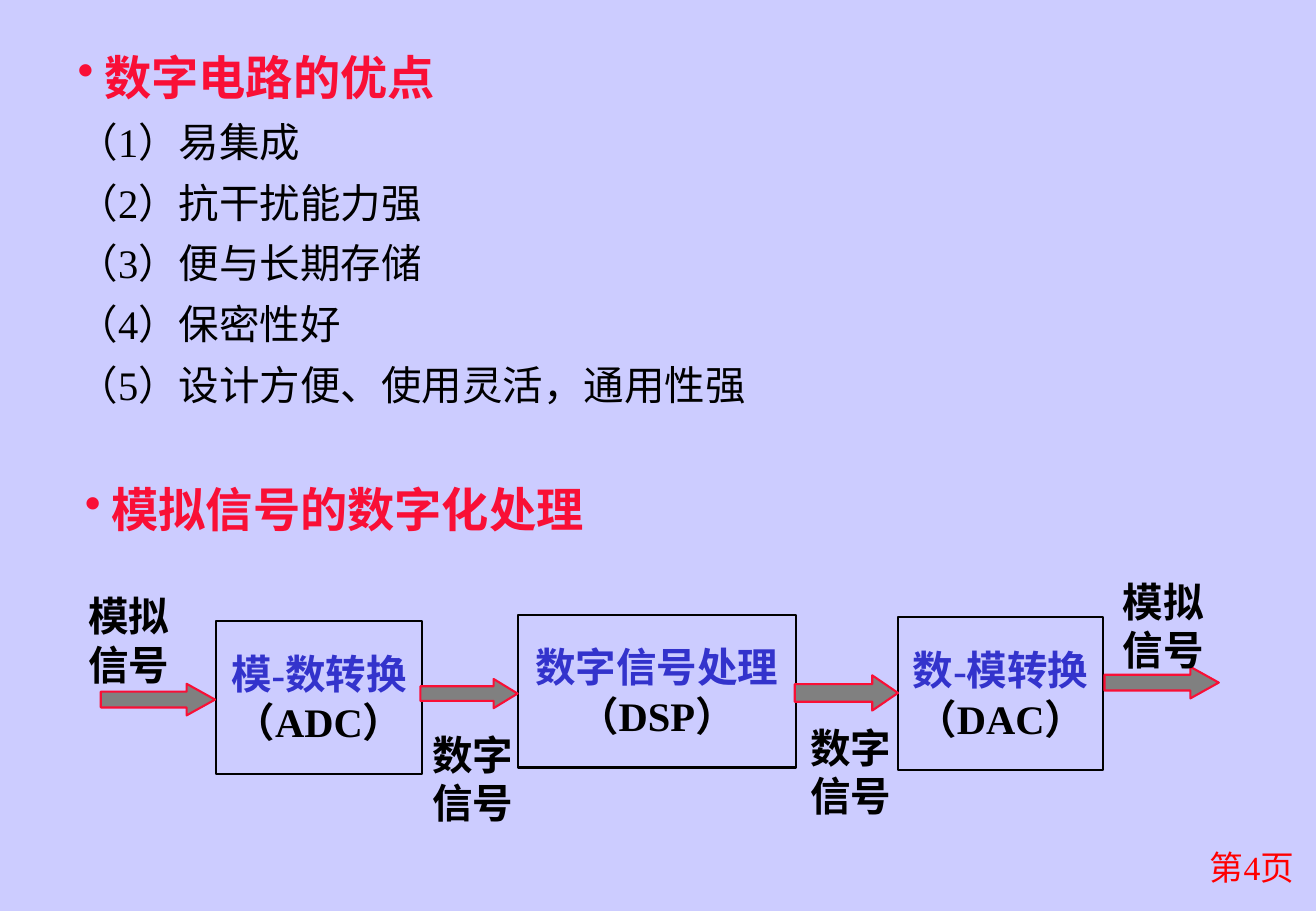
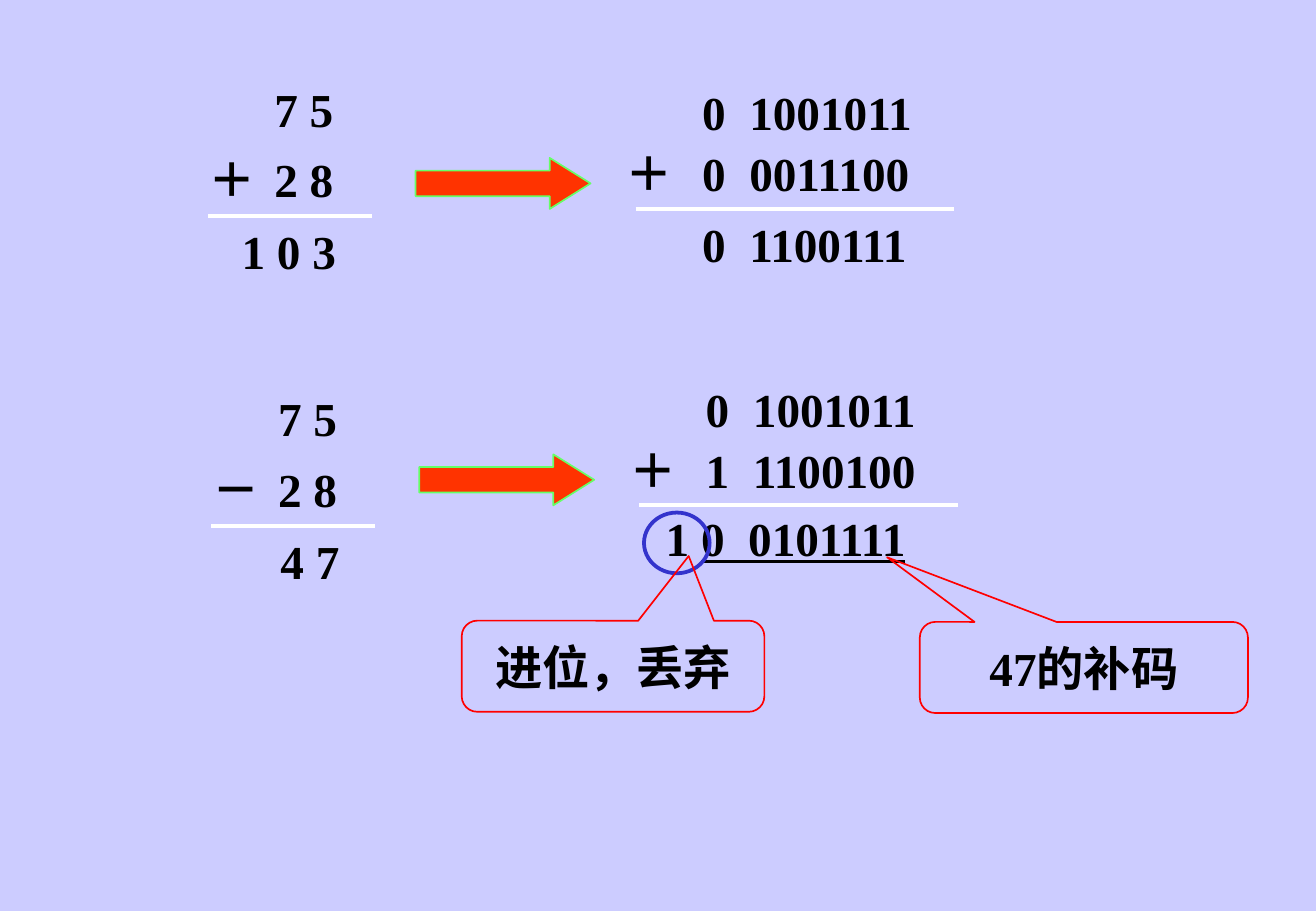
from lxml.etree import SubElement
from pptx import Presentation
from pptx.dml.color import RGBColor
from pptx.enum.shapes import MSO_CONNECTOR, MSO_SHAPE
from pptx.enum.text import MSO_ANCHOR, PP_ALIGN
from pptx.oxml.ns import qn
from pptx.util import Inches, Pt

COLORS = {
    "background": "CCCCFF", "text": "000000", "heading": "F90F36", "blue": "3333CC",
    "red": "FF0000", "gray": "808080", "orange": "FF3300", "green": "66FF66",
    "white": "FFFFFF",
}
FONT = "Times New Roman"
HEADING = {"size": 28, "bold": True, "color": "heading"}
BODY = {"size": 24, "bold": False, "color": "text"}
LABEL = {"size": 24, "bold": True, "color": "text"}
BLOCK_NAME = {"size": 24, "bold": True, "color": "blue"}
FOOTER = {"size": 20, "bold": False, "color": "red"}
DIGITS = {"size": 28, "bold": True, "color": "text"}
UNDERLINED = {**DIGITS, "underline": True}

# Slide 1 content; positions are (left, top, width, height)
ADVANTAGES = ["易集成", "抗干扰能力强", "便与长期存储", "保密性好", "设计方便、使用灵活，通用性强"]
BLOCKS = [
    ("模-数转换", "（ADC）", (1.78, 5.11, 1.69, 1.26)),
    ("数字信号处理", "（DSP）", (4.26, 5.06, 2.29, 1.26)),
    ("数-模转换", "（DAC）", (7.39, 5.08, 1.69, 1.26)),
]
SIGNAL_ARROWS = [
    ((0.83, 5.63, 0.94, 0.26), 0.9),
    ((3.46, 5.59, 0.8, 0.24), 0.82),
    ((6.54, 5.56, 0.85, 0.29), 0.73),
    ((9.09, 5.49, 0.94, 0.26), 0.9),
]
SIGNAL_LABELS = [("模拟", 0.63, 4.82), ("数字", 3.46, 5.96), ("数字", 6.57, 5.9), ("模拟", 9.14, 4.7)]

# Slide 2 content: column layouts are relative to the operator column and the first row
DECIMAL = {"digits": 0.54, "row": 0.58, "rule": (0.09, 1.44), "rule_top": 1.17}
BINARY = {"digits": 0.63, "row": 0.5, "rule": (0.18, 2.8), "rule_top": 1.08}
# layout, left, top, operator, operands, result runs, result offset
SUMS = [
    (DECIMAL, 1.62, 0.61, "＋", ["7 5", "2 8"], [("1 0 3", DIGITS)], (0.27, 1.17)),
    (BINARY, 5.05, 0.64, "＋", ["0  1001011", "0  0011100"], [("0  1100111", DIGITS)], (0.63, 1.08)),
    (DECIMAL, 1.65, 3.16, "－", ["7 5", "2 8"], [("4 7", DIGITS)], (0.56, 1.17)),
    (BINARY, 5.08, 3.08, "＋", ["0  1001011", "1  1100100"],
     [("1 ", DIGITS), ("0  0101111", UNDERLINED)], (0.3, 1.06)),
]
SUM_ARROWS = [(3.42, 1.3, 1.44, 0.42), (3.45, 3.74, 1.44, 0.42)]
CALLOUTS = [
    ("进位，丢弃", (3.8, 5.11, 2.49, 0.75), 0.25),
    ("47的补码", (7.57, 5.12, 2.7, 0.75), -0.6),
]


def rgb(name):
    return RGBColor.from_string(COLORS[name])


def write(shape, paragraphs, align=PP_ALIGN.LEFT, wrap=True, spacing=1.0, anchor=MSO_ANCHOR.TOP):
    """Each paragraph is a list of (text, format) runs."""
    frame = shape.text_frame
    frame.word_wrap = wrap
    frame.vertical_anchor = anchor
    for index, runs in enumerate(paragraphs):
        paragraph = frame.add_paragraph() if index else frame.paragraphs[0]
        paragraph.alignment = align
        paragraph.line_spacing = spacing
        for text, style in runs:
            run = paragraph.add_run()
            run.text = text
            values = {"name": FONT, "size": Pt(style["size"]), "bold": style["bold"],
                      "underline": style.get("underline", False)}
            for attribute, value in values.items():
                setattr(run.font, attribute, value)
            run.font.color.rgb = rgb(style["color"])


def add_text(slide, box, paragraphs, **options):
    shape = slide.shapes.add_textbox(*map(Inches, box))
    write(shape, paragraphs, **options)
    return shape


def add_bullet(paragraph):
    properties = paragraph._p.get_or_add_pPr()
    properties.set("marL", str(Inches(0.22)))
    properties.set("indent", str(-Inches(0.22)))
    SubElement(properties, qn("a:buChar")).set("char", "•")


def add_shape(slide, kind, box, line, width, fill=None, adjustments=()):
    shape = slide.shapes.add_shape(kind, *map(Inches, box))
    shape.shadow.inherit = False
    if fill:
        shape.fill.solid()
        shape.fill.fore_color.rgb = rgb(fill)
    else:
        shape.fill.background()
    shape.line.color.rgb = rgb(line)
    shape.line.width = Pt(width)
    for index, value in enumerate(adjustments):
        shape.adjustments[index] = value
    return shape


def add_rule(slide, left, right, top):
    line = slide.shapes.add_connector(
        MSO_CONNECTOR.STRAIGHT, Inches(left), Inches(top), Inches(right), Inches(top))
    line.line.color.rgb = rgb("white")
    line.line.width = Pt(2.25)
    SubElement(line._element.spPr, qn("a:effectLst"))


def add_sum(slide, layout, left, top, operator, operands, result, result_offset):
    for index, operand in enumerate(operands):
        box = (left + layout["digits"], top + index * layout["row"], 2.4, 0.57)
        add_text(slide, box, [[(operand, DIGITS)]])
    add_text(slide, (left, top + layout["row"], 0.63, 0.57), [[(operator, DIGITS)]])
    start, end = layout["rule"]
    add_rule(slide, left + start, left + end, top + layout["rule_top"])
    across, down = result_offset
    add_text(slide, (left + across, top + down, 2.4, 0.57), [result])


def build_signal_slide(slide):
    # Headings and list
    items = [[(f"（{number}）{text}", BODY)] for number, text in enumerate(ADVANTAGES, 1)]
    for box, paragraphs in [
        ((0.54, 0.23, 6.74, 3.18), [[("数字电路的优点", HEADING)], *items]),
        ((0.6, 3.79, 9.97, 0.68), [[("模拟信号的数字化处理", HEADING)]]),
    ]:
        shape = add_text(slide, box, paragraphs, spacing=1.25)
        add_bullet(shape.text_frame.paragraphs[0])

    # Processing chain
    for name, short_name, box in BLOCKS:
        block = add_shape(slide, MSO_SHAPE.RECTANGLE, box, "text", 1.25)
        write(block, [[(name, BLOCK_NAME)], [(short_name, LABEL)]],
              align=PP_ALIGN.CENTER, wrap=False, anchor=MSO_ANCHOR.MIDDLE)
    for box, head in SIGNAL_ARROWS:
        add_shape(slide, MSO_SHAPE.RIGHT_ARROW, box, "heading", 1.25, "gray", (0.5, head))
    for kind, left, top in SIGNAL_LABELS:
        add_text(slide, (left, top, 0.87, 0.9), [[(kind, LABEL)], [("信号", LABEL)]], wrap=False)

    # Page number
    add_text(slide, (8.49, 6.92, 2.26, 0.5), [[("第4页", FOOTER)]], align=PP_ALIGN.RIGHT)


def build_arithmetic_slide(slide):
    # Sums in decimal and binary
    for calculation in SUMS:
        add_sum(slide, *calculation)
    for box in SUM_ARROWS:
        add_shape(slide, MSO_SHAPE.RIGHT_ARROW, box, "green", 1, "orange", (0.5, 0.8))

    # Carry mark and callouts
    add_shape(slide, MSO_SHAPE.OVAL, (5.3, 4.22, 0.54, 0.5), "blue", 2.25)
    for text, box, tip in CALLOUTS:
        callout = add_shape(slide, MSO_SHAPE.ROUNDED_RECTANGULAR_CALLOUT, box, "red", 1,
                            adjustments=(tip, -1.21, 0.17))
        write(callout, [[(text, DIGITS)]], align=PP_ALIGN.CENTER, anchor=MSO_ANCHOR.MIDDLE)


def main():
    presentation = Presentation()
    presentation.slide_width = Inches(10.83)
    presentation.slide_height = Inches(7.5)
    background = presentation.slide_master.background.fill
    background.solid()
    background.fore_color.rgb = rgb("background")
    for build in (build_signal_slide, build_arithmetic_slide):
        build(presentation.slides.add_slide(presentation.slide_layouts[6]))
    presentation.save("out.pptx")


if __name__ == "__main__":
    main()
